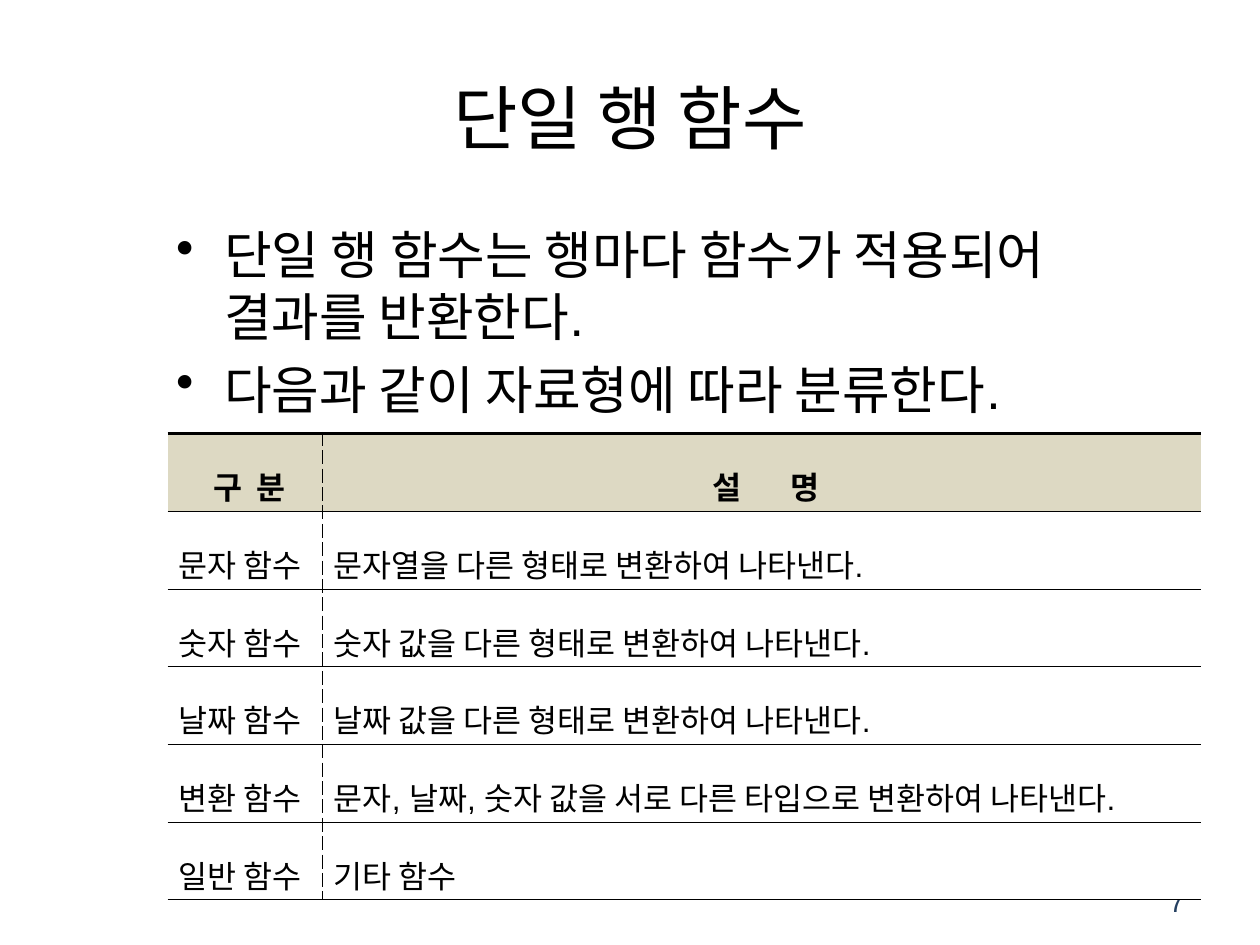
from lxml import etree
from pptx import Presentation
from pptx.dml.color import RGBColor
from pptx.enum.text import MSO_ANCHOR as Anchor, PP_ALIGN as Align
from pptx.oxml.ns import qn
from pptx.util import Inches, Pt

LATIN, KOREAN = "Arial", "Noto Sans CJK KR"
BLACK, WHITE, BEIGE, NAVY = "000000", "FFFFFF", "DDD9C3", "254061"

HEADER = ("구 분", "설 명")
HEADER_SPACING = (2, 12)  # points between the letters
FUNCTIONS = [
    ("문자 함수", "문자열을 다른 형태로 변환하여 나타낸다."),
    ("숫자 함수", "숫자 값을 다른 형태로 변환하여 나타낸다."),
    ("날짜 함수", "날짜 값을 다른 형태로 변환하여 나타낸다."),
    ("변환 함수", "문자, 날짜, 숫자 값을 서로 다른 타입으로 변환하여 나타낸다."),
    ("일반 함수", "기타 함수"),
]


def color(value):
    return RGBColor.from_string(value)


def set_font(font, size, fill=BLACK, bold=False):
    font.size, font.name, font.bold = Pt(size), LATIN, bold
    font.color.rgb = color(fill)
    latin = font._element.find(qn("a:latin"))
    latin.addnext(latin.makeelement(qn("a:ea"), {"typeface": KOREAN}))


def add_text(page, box, lines, anchor, align, size, fill=BLACK):
    frame = page.shapes.add_textbox(*map(Inches, box)).text_frame
    frame.word_wrap = True
    frame.vertical_anchor = anchor
    for index, line in enumerate(lines):
        para = frame.add_paragraph() if index else frame.paragraphs[0]
        para.text = line
        para.alignment = align
        set_font(para.font, size, fill)
    return frame


def add_bullets(page, box, lines):
    frame = add_text(page, box, lines, Anchor.TOP, Align.LEFT, 29.6)
    for para in frame.paragraphs:
        para.space_before = Pt(5.9)
        props = para._p.get_or_add_pPr()
        props.set("marL", str(Inches(0.38)))
        props.set("indent", str(-Inches(0.38)))
        bullet = props.makeelement(qn("a:buChar"), {"char": "•"})
        props.find(qn("a:defRPr")).addprevious(bullet)


def set_borders(cell, sides):
    """Each side maps to (width in points, dash); other sides get no line."""
    props = cell._tc.get_or_add_tcPr()
    for index, side in enumerate("LRTB"):
        line = props.makeelement(qn(f"a:ln{side}"), {})
        if side in sides:
            width, dash = sides[side]
            line.set("w", str(Pt(width)))
            fill = etree.SubElement(line, qn("a:solidFill"))
            etree.SubElement(fill, qn("a:srgbClr"), val=BLACK)
            etree.SubElement(line, qn("a:prstDash"), val=dash)
        else:
            etree.SubElement(line, qn("a:noFill"))
        props.insert(index, line)


def fill_cell(cell, text, column, is_header):
    cell.fill.solid()
    cell.fill.fore_color.rgb = color(BEIGE if is_header else WHITE)
    cell.vertical_anchor = Anchor.MIDDLE
    cell.margin_left = Inches(0.09)
    cell.margin_right = cell.margin_top = cell.margin_bottom = Inches(0.02)
    para = cell.text_frame.paragraphs[0]
    para.line_spacing = 1.6
    para.alignment = Align.CENTER if is_header else Align.JUSTIFY
    if is_header:
        # Widen the gap between the two syllables
        span = para.add_run()
        span.text = text[:-1]
        span.font._element.set("spc", str(HEADER_SPACING[column] * 100))
        para.add_run().text = text[-1]
    else:
        para.text = text
    # Runs in table cells need their own font
    for span in para.runs:
        set_font(span.font, 18, bold=is_header)
    set_borders(cell, {
        "R" if column == 0 else "L": (0.56, "dash"),
        "T": (1.98 if is_header else 0.25, "solid"),
        "B": (0.25, "solid"),
    })


def add_function_table(page, box, widths):
    rows = [HEADER, *FUNCTIONS]
    table = page.shapes.add_table(len(rows), len(widths), *map(Inches, box)).table
    table.first_row = table.horz_banding = False
    for column, width in zip(table.columns, widths):
        column.width = Inches(width)
    for r, row in enumerate(rows):
        for c, text in enumerate(row):
            fill_cell(table.cell(r, c), text, c, r == 0)


def build_slide(deck):
    page = deck.slides.add_slide(deck.slide_layouts[6])
    # Title
    add_text(page, (0.5, 0.3, 9, 1.25), ["단일 행 함수"],
             Anchor.MIDDLE, Align.CENTER, 40)
    # Summary
    add_bullets(page, (1.3, 1.72, 8.2, 1.56), [
        "단일 행 함수는 행마다 함수가 적용되어 결과를 반환한다.",
        "다음과 같이 자료형에 따라 분류한다.",
    ])
    # Page number, partly under the table
    add_text(page, (7.17, 6.95, 2.33, 0.4), ["7"],
             Anchor.MIDDLE, Align.RIGHT, 16, NAVY)
    # Function types
    add_function_table(page, (1.33, 3.44, 8.2, 3.7), (1.23, 6.97))


deck = Presentation()
deck.slide_width, deck.slide_height = Inches(10), Inches(7.5)
build_slide(deck)
deck.save("out.pptx")
